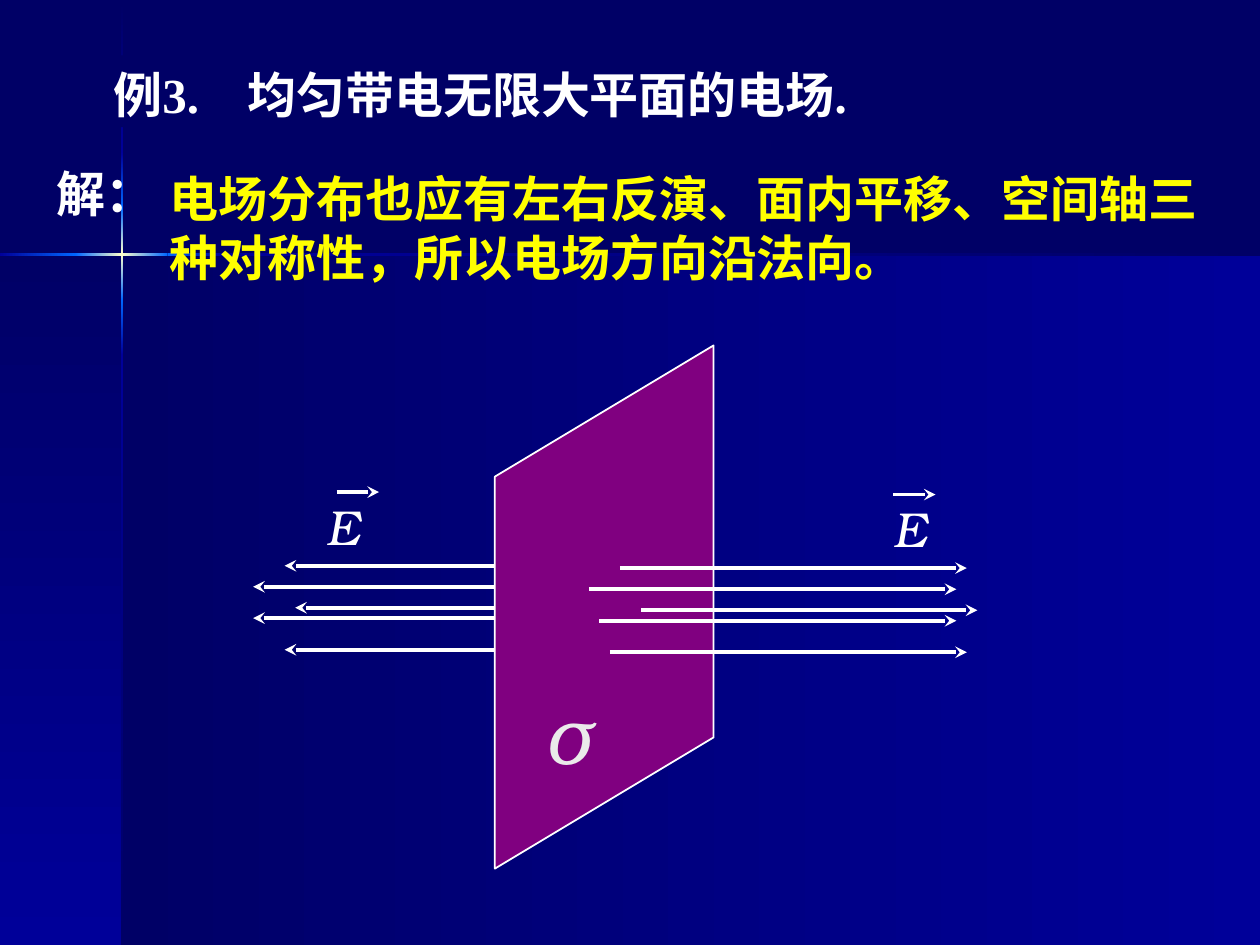
from pptx import Presentation
from pptx.dml.color import RGBColor
from pptx.enum import shapes, text
from pptx.oxml import parse_xml
from pptx.oxml.ns import nsdecls, qn
from pptx.util import Pt

COLORS = {
    "night": "000066", "navy": "000099", "blue": "0066FF", "glow": "FFFFCC",
    "plate": "800080", "white": "FFFFFF", "pale": "EAEAEA", "yellow": "FFFF00",
}
CJK, SYMBOL, SERIF = "Noto Sans CJK SC", "TeX Gyre Bonum", "Times New Roman"


def write(box, words, color, font, size=28, spacing=None):
    frame = box.text_frame
    frame.text = words
    frame.word_wrap = True
    frame.auto_size = text.MSO_AUTO_SIZE.NONE
    frame.vertical_anchor = text.MSO_ANCHOR.TOP
    para = frame.paragraphs[0]
    para.alignment = text.PP_ALIGN.LEFT
    if spacing:
        para.line_spacing = Pt(spacing)
    for span in para.runs:
        span.font.size = Pt(size)
        span.font.name = font
        span.font.bold = font != SYMBOL
        span.font.italic = font == SYMBOL
        span.font.color.rgb = RGBColor.from_string(COLORS[color])
        if font != SYMBOL:
            east = parse_xml(f'<a:ea {nsdecls("a")} typeface="{CJK}"/>')
            span.font._element.find(qn("a:latin")).addnext(east)
    return para


def arrow(x1, y1, x2, y2):
    line = page.shapes.add_connector(
        shapes.MSO_CONNECTOR.STRAIGHT, Pt(x1), Pt(y1), Pt(x2), Pt(y2))
    line.line.width = Pt(2.25)
    line.line.color.rgb = RGBColor.from_string(COLORS["white"])
    line.line._get_or_add_ln().append(
        parse_xml(f'<a:tailEnd {nsdecls("a")} type="stealth"/>'))
    line._element.spPr.append(parse_xml(f'<a:effectLst {nsdecls("a")}/>'))


deck = Presentation()
deck.slide_width, deck.slide_height = Pt(720), Pt(540)
page = deck.slides.add_slide(deck.slide_layouts[5])
page.background.fill.solid()
page.background.fill.fore_color.rgb = RGBColor.from_string(COLORS["night"])

# Background panels and the glowing cross: left, top, width, height, angle, stops
gradients = [
    (69.8, 145.5, 650.2, 394.5, 0, ["night", "navy"]),
    (0, 145.5, 69.8, 394.5, 90, ["night", "navy"]),
    (69.1, 0.7, 1.4, 86.4, 90, ["night", "navy"]),
    (69.1, 203, 1.4, 337, 90, ["navy", "night"]),
    (127.4, 144.7, 592.6, 1.4, 0, ["navy", "night"]),
    (69.1, 171.4, 1.4, 31.6, 90, ["blue", "navy"]),
    (69.1, 87.1, 1.4, 31.7, 90, ["navy", "blue"]),
    (69.1, 118.8, 1.4, 52.6, 90, ["blue", "glow", "blue"]),
    (0, 144.7, 43.6, 1.4, 0, ["navy", "blue"]),
    (95.8, 144.7, 31.6, 1.4, 0, ["blue", "navy"]),
    (43.2, 144.7, 52.6, 1.4, 0, ["blue", "glow", "blue"]),
]
for left, top, width, height, angle, names in gradients:
    panel = page.shapes.add_shape(
        shapes.MSO_SHAPE.RECTANGLE, Pt(left), Pt(top), Pt(width), Pt(height))
    panel.shadow.inherit = False
    panel.line.fill.background()
    stops = "".join(
        f'<a:gs pos="{100000 * i // (len(names) - 1)}"><a:srgbClr val="{COLORS[name]}"/></a:gs>'
        for i, name in enumerate(names))
    panel._element.spPr.find(qn("a:prstGeom")).addnext(parse_xml(
        f'<a:gradFill {nsdecls("a")} rotWithShape="1"><a:gsLst>{stops}</a:gsLst>'
        f'<a:lin ang="{angle * 60000}" scaled="0"/></a:gradFill>'))

# Field lines to the left, partly behind the plate
for tip, y in [(144.7, 353.2), (162.7, 323.3), (144.7, 335.3), (162.7, 371.3), (168.7, 347.3)]:
    arrow(294.5, y, tip, y)

# Charged plate
plate = page.shapes.add_shape(
    shapes.MSO_SHAPE.PARALLELOGRAM, Pt(195.8), Pt(284.4), Pt(299), Pt(125))
plate.adjustments[0] = 0.6
plate.rotation = 270
plate._element.spPr.find(qn("a:xfrm")).set("flipH", "1")
plate.shadow.inherit = False
plate.fill.solid()
plate.fill.fore_color.rgb = RGBColor.from_string(COLORS["plate"])
plate.line.color.rgb = RGBColor.from_string(COLORS["white"])
plate.line.width = Pt(1)

# Field lines to the right, in front of the plate
for start, tip, y in [(354.3, 552.5, 324.6), (336.5, 546.5, 336.7), (342.5, 546.5, 354.7),
                      (348.5, 552.5, 372.7), (366.5, 558.5, 348.7)]:
    arrow(start, y, tip, y)

# Symbols and their vector arrows
for words, left, top, height, color, size in [
        ("E", 179.3, 280.1, 41, "white", 28), ("E", 503.3, 281.5, 41, "white", 28),
        ("σ", 303.8, 385.2, 65, "pale", 48)]:
    label = page.shapes.add_textbox(Pt(left), Pt(top), Pt(41), Pt(height))
    write(label, words, color, SYMBOL, size)
for start, y in [(192.4, 281.2), (510.4, 282.6)]:
    arrow(start, y, start + 24.2, y)

# Title, in front of the cross
title = page.shapes.title
title.left, title.top, title.width, title.height = Pt(19.4), Pt(31.7), Pt(606.2), Pt(41)
page.shapes._spTree.append(title._element)
title.fill.solid()
title.fill.fore_color.rgb = RGBColor.from_string(COLORS["night"])
heading = write(title, "例3.\t均匀带电无限大平面的电场.", "white", SERIF, spacing=33.5)
title.text_frame.margin_left = Pt(45.5)
title.text_frame.margin_top = Pt(5.5)
heading._p.get_or_add_pPr().append(parse_xml(
    f'<a:tabLst {nsdecls("a")}><a:tab pos="{Pt(76.5)}" algn="l"/></a:tabLst>'))

# Solution
for words, left, top, width, height, color in [
        ("电场分布也应有左右反演、面内平移、空间轴三种对称性，所以电场方向沿法向。",
         90, 91.4, 621.4, 75, "yellow"),
        ("解：", 25.2, 88.6, 72, 41, "white")]:
    box = page.shapes.add_textbox(Pt(left), Pt(top), Pt(width), Pt(height))
    write(box, words, color, CJK, spacing=33.5)
    box.text_frame.margin_top = Pt(5)

deck.save("out.pptx")
